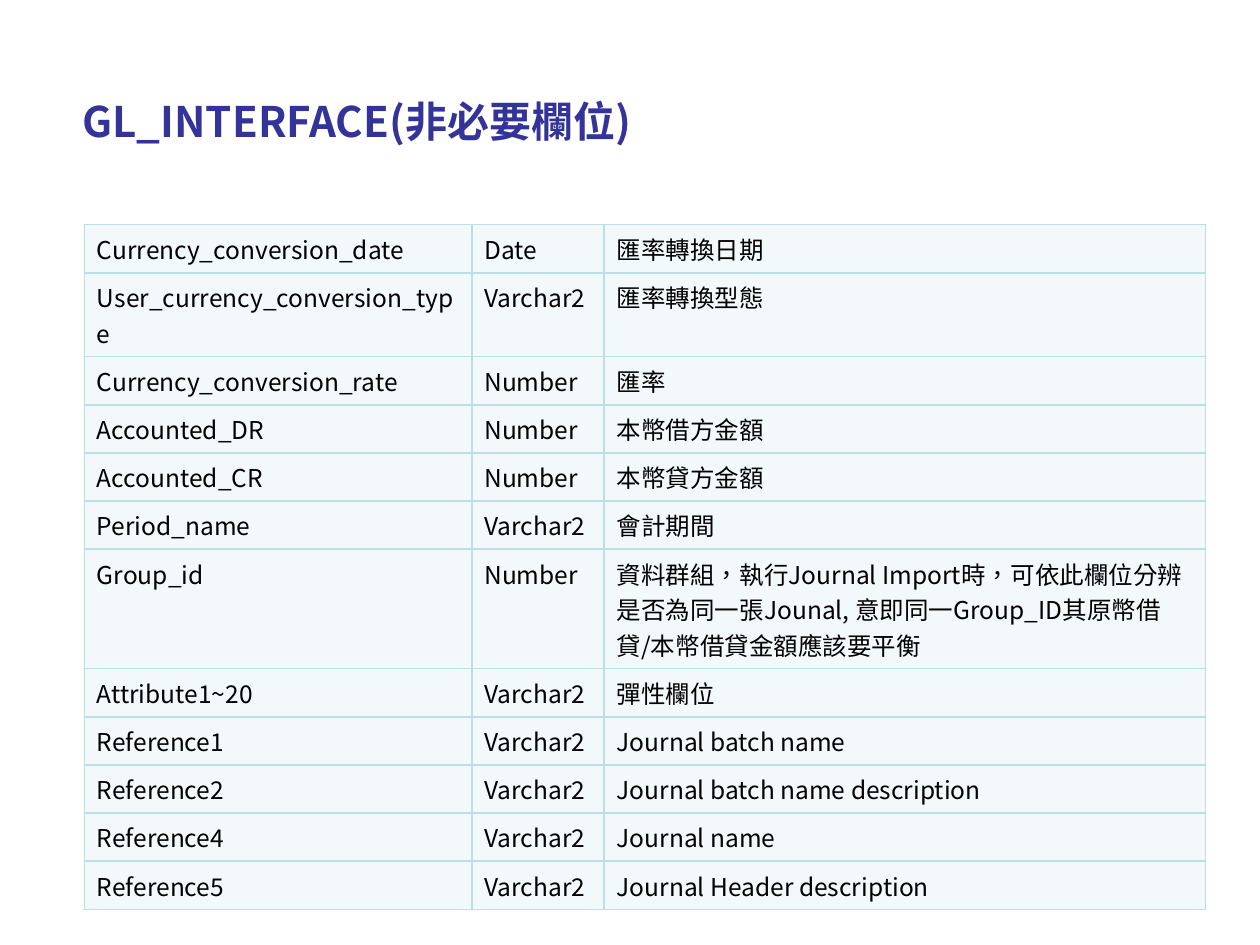
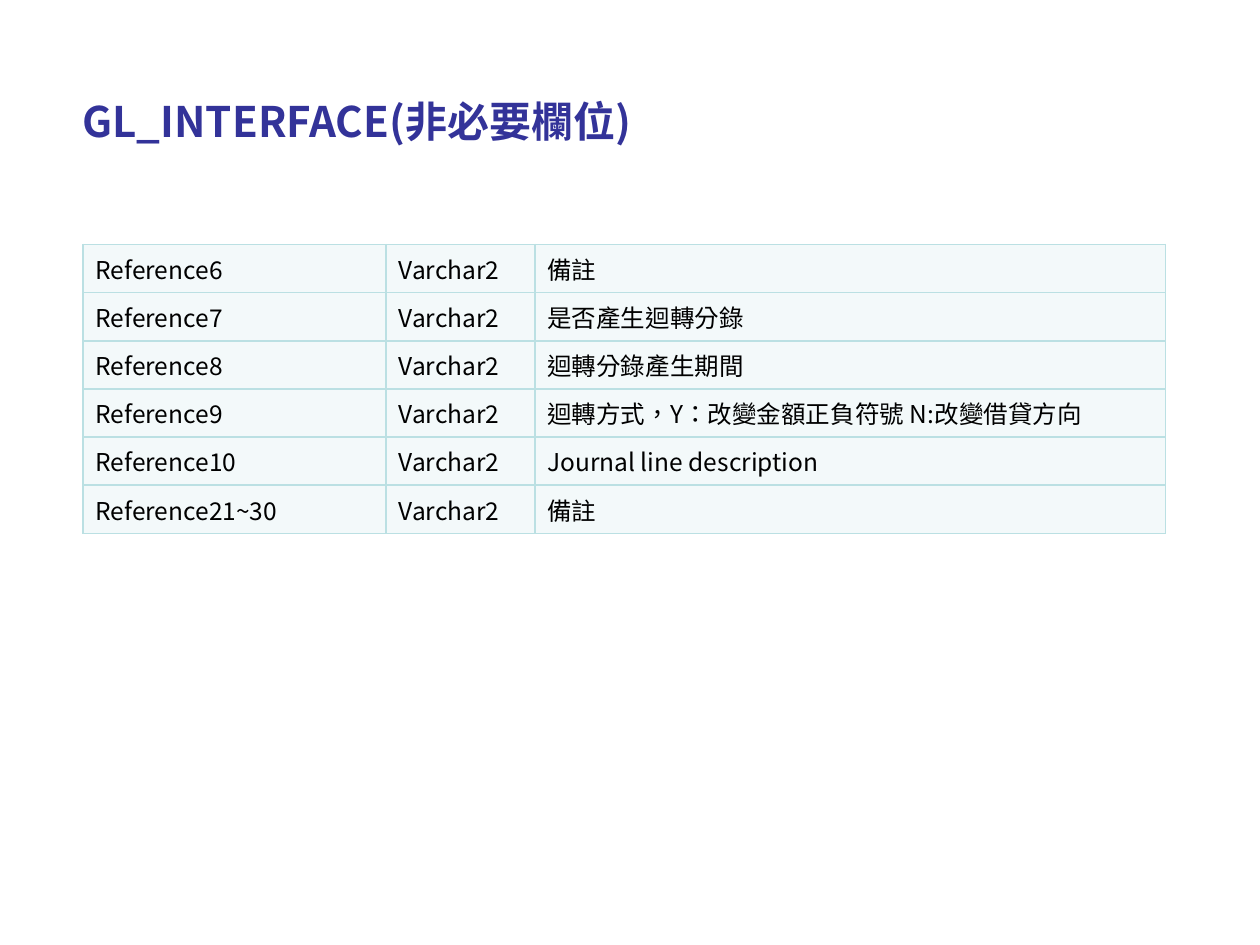
from dataclasses import dataclass

from lxml.etree import SubElement
from pptx import Presentation
from pptx.dml.color import RGBColor
from pptx.enum.text import MSO_ANCHOR, PP_ALIGN
from pptx.oxml.ns import qn
from pptx.util import Cm, Pt


@dataclass(frozen=True)
class Theme:
    font: str = "Noto Sans CJK SC"
    language: str = "zh-TW"
    title_size: int = 24
    cell_size: int = 14
    line_height: float = 0.72
    cell_padding: float = 0.25
    border_width: int = 1
    title_color: str = "333399"
    text_color: str = "000000"
    cell_fill: str = "F3F9FA"
    border_color: str = "BBE0E3"


THEME = Theme()
TITLE = "GL_INTERFACE(非必要欄位)"
TITLE_BOX = (0.69, 1.54, 13, 1.8)

JOURNAL_FIELDS = [
    ("Currency_conversion_date", "Date", "匯率轉換日期"),
    ("User_currency_conversion_type", "Varchar2", "匯率轉換型態"),
    ("Currency_conversion_rate", "Number", "匯率"),
    ("Accounted_DR", "Number", "本幣借方金額"),
    ("Accounted_CR", "Number", "本幣貸方金額"),
    ("Period_name", "Varchar2", "會計期間"),
    ("Group_id", "Number",
     "資料群組，執行Journal Import時，可依此欄位分辨是否為同一張Jounal, "
     "意即同一Group_ID其原幣借貸/本幣借貸金額應該要平衡"),
    ("Attribute1~20", "Varchar2", "彈性欄位"),
    ("Reference1", "Varchar2", "Journal batch name"),
    ("Reference2", "Varchar2", "Journal batch name description"),
    ("Reference4", "Varchar2", "Journal name"),
    ("Reference5", "Varchar2", "Journal Header description"),
]

REFERENCE_FIELDS = [
    ("Reference6", "Varchar2", "備註"),
    ("Reference7", "Varchar2", "是否產生迴轉分錄"),
    ("Reference8", "Varchar2", "迴轉分錄產生期間"),
    ("Reference9", "Varchar2", "迴轉方式，Y：改變金額正負符號 N:改變借貸方向"),
    ("Reference10", "Varchar2", "Journal line description"),
    ("Reference21~30", "Varchar2", "備註"),
]

WRAPPED_LINES = {"User_currency_conversion_type": 2, "Group_id": 3}


def write_text(frame, text, *, size, color, bold=False,
               align=PP_ALIGN.LEFT, anchor=MSO_ANCHOR.TOP):
    frame.word_wrap = True
    frame.vertical_anchor = anchor
    para = frame.paragraphs[0]
    para.alignment = align
    span = para.add_run()
    span.text = text
    span.font.name = THEME.font
    span.font.size = Pt(size)
    span.font.bold = bold
    span.font.color.rgb = RGBColor.from_string(color)
    properties = span.font._element
    properties.set("lang", THEME.language)
    SubElement(properties, qn("a:ea")).set("typeface", THEME.font)


def add_title(page, text, box):
    title = page.shapes.add_textbox(*map(Cm, box))
    write_text(title.text_frame, text, size=THEME.title_size,
               color=THEME.title_color, bold=True,
               align=PP_ALIGN.CENTER, anchor=MSO_ANCHOR.MIDDLE)


def add_borders(cell):
    """Draw all four cell edges; must run before the cell is filled."""
    properties = cell._tc.get_or_add_tcPr()
    for edge in ("a:lnL", "a:lnR", "a:lnT", "a:lnB"):
        line = SubElement(properties, qn(edge))
        line.set("w", str(Pt(THEME.border_width)))
        fill = SubElement(line, qn("a:solidFill"))
        SubElement(fill, qn("a:srgbClr")).set("val", THEME.border_color)


def row_height(field):
    lines = WRAPPED_LINES.get(field[0], 1)
    return THEME.cell_padding + THEME.line_height * lines


def add_field_table(page, fields, left, top, column_widths):
    """Place field name, type and meaning, one field a row."""
    heights = [row_height(field) for field in fields]
    table = page.shapes.add_table(
        len(fields), len(column_widths), Cm(left), Cm(top),
        Cm(sum(column_widths)), Cm(sum(heights))).table
    table.first_row = table.horz_banding = False
    for column, width in zip(table.columns, column_widths):
        column.width = Cm(width)
    for row, height, field in zip(table.rows, heights, fields):
        row.height = Cm(height)
        for cell, text in zip(row.cells, field):
            add_borders(cell)
            cell.fill.solid()
            cell.fill.fore_color.rgb = RGBColor.from_string(THEME.cell_fill)
            write_text(cell.text_frame, text, size=THEME.cell_size,
                       color=THEME.text_color)


def add_field_page(deck, fields, **layout):
    page = deck.slides.add_slide(deck.slide_layouts[6])
    add_title(page, TITLE, TITLE_BOX)
    add_field_table(page, fields, **layout)


def main():
    deck = Presentation()
    deck.slide_width, deck.slide_height = Cm(25.4), Cm(19.05)
    add_field_page(deck, JOURNAL_FIELDS, left=1.7, top=4.53,
                   column_widths=(7.81, 2.67, 12.12))
    add_field_page(deck, REFERENCE_FIELDS, left=1.67, top=4.93,
                   column_widths=(6.11, 3, 12.72))
    deck.save("out.pptx")


if __name__ == "__main__":
    main()
